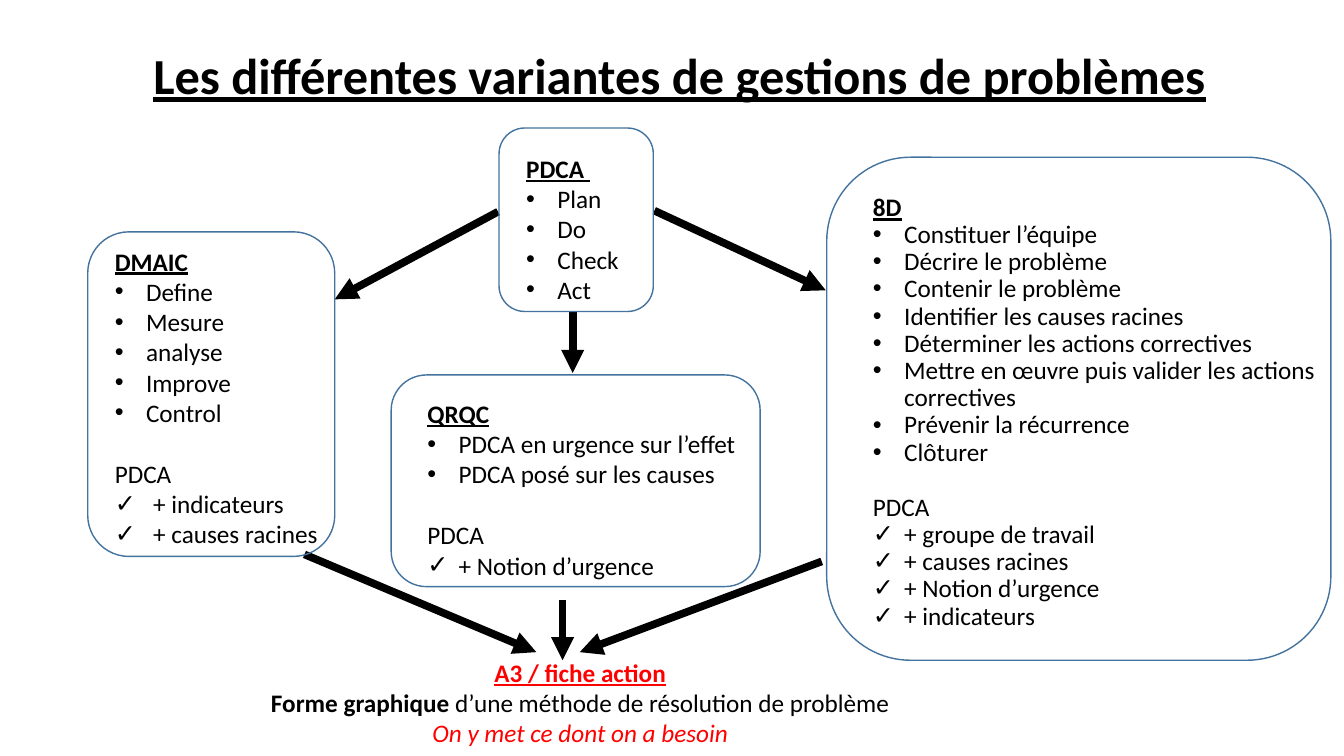
"""Build the slide on the variants of problem solving."""
import dataclasses
import lxml.etree
import pptx
import pptx.dml.color
import pptx.enum.shapes
import pptx.enum.text
import pptx.oxml.ns
import pptx.util

Inches = pptx.util.Inches
Pt = pptx.util.Pt
Align = pptx.enum.text.PP_ALIGN
qn = pptx.oxml.ns.qn


@dataclasses.dataclass
class Theme:
    font: str = "Calibri"
    black: str = "000000"
    red: str = "FF0000"
    blue: str = "43739E"
    head: int = 36
    body: int = 18
    arrow: float = 5.5
    frame: int = 1


class Board:
    def __init__(self, slide, theme):
        self.slide = slide
        self.theme = theme

    def tint(self, code):
        return pptx.dml.color.RGBColor.from_string(code)

    def style(self, run, size=None, color=None, bold=False, under=False, slant=False):
        font = run.font
        font.name = self.theme.font
        font.size = Pt(size or self.theme.body)
        font.color.rgb = self.tint(color or self.theme.black)
        font.bold, font.underline, font.italic = bold, under, slant

    def title(self, text, box):
        shape = self.slide.shapes.title
        shape.left, shape.top, shape.width, shape.height = map(Inches, box)
        frame = shape.text_frame
        frame.text = text
        frame.auto_size = pptx.enum.text.MSO_AUTO_SIZE.NONE
        frame.vertical_anchor = pptx.enum.text.MSO_ANCHOR.MIDDLE
        line = frame.paragraphs[0]
        line.alignment = Align.LEFT
        line.line_spacing = 0.9
        self.style(line.runs[0], self.theme.head, bold=True, under=True)

    def text(self, box):
        frame = self.slide.shapes.add_textbox(*map(Inches, box)).text_frame
        frame.word_wrap = True
        return frame

    def bullet(self, line, mark, indent):
        props = line._p.get_or_add_pPr()
        props.set("marL", str(Inches(indent)))
        props.set("indent", str(-Inches(indent)))
        lxml.etree.SubElement(props, qn("a:buFont")).set("typeface", "Arial")
        lxml.etree.SubElement(props, qn("a:buChar")).set("char", mark)

    def method(self, box, name, steps, extras, space=1.0, indent=0.31):
        frame = self.text(box)
        frame.text = name
        self.style(frame.paragraphs[0].runs[0], bold=True, under=True)
        rows = [(step, "•", 0.31) for step in steps]
        if extras:
            rows.append(("PDCA", None, 0))
            rows += [(extra, "✓", indent) for extra in extras]
        for words, mark, inset in rows:
            line = frame.add_paragraph()
            line.text = words
            if mark:
                self.bullet(line, mark, inset)
            else:
                line.space_before = Pt(22 * space)
            line.line_spacing = space
            self.style(line.runs[0])

    def result(self, box, lines):
        frame = self.text(box)
        for place, parts in enumerate(lines):
            line = frame.add_paragraph() if place else frame.paragraphs[0]
            line.alignment = Align.CENTER
            for words, looks in parts:
                run = line.add_run()
                run.text = words
                self.style(run, **looks)

    def arrow(self, start, end):
        kind = pptx.enum.shapes.MSO_CONNECTOR.STRAIGHT
        link = self.slide.shapes.add_connector(kind, *map(Inches, start + end))
        link.line.color.rgb = self.tint(self.theme.black)
        link.line.width = Pt(self.theme.arrow)
        tip = lxml.etree.SubElement(link.line._get_or_add_ln(), qn("a:tailEnd"))
        tip.set("type", "triangle")
        lxml.etree.SubElement(link._element.spPr, qn("a:effectLst"))

    def frame(self, box):
        kind = pptx.enum.shapes.MSO_SHAPE.ROUNDED_RECTANGLE
        shape = self.slide.shapes.add_shape(kind, *map(Inches, box))
        shape.shadow.inherit = False
        shape.fill.background()
        shape.line.color.rgb = self.tint(self.theme.blue)
        shape.line.width = Pt(self.theme.frame)


def main():
    deck = pptx.Presentation()
    deck.slide_width, deck.slide_height = Inches(13.33), Inches(7.5)
    theme = Theme()
    board = Board(deck.slides.add_slide(deck.slide_layouts[5]), theme)

    board.title("Les différentes variantes de gestions de problèmes",
                (1.42, 0.05, 11.35, 1.45))
    board.method((5.12, 1.47, 1.38, 1.62), "PDCA ",
                 ["Plan", "Do", "Check", "Act"], [])
    board.method((4.14, 3.9, 3.59, 1.92), "QRQC",
                 ["PDCA en urgence sur l’effet", "PDCA posé sur les causes"],
                 ["+ Notion d’urgence"])
    board.method((1.04, 2.39, 2.28, 3.43), "DMAIC",
                 ["Define", "Mesure", "analyse", "Improve", "Control"],
                 ["+ indicateurs", "+ causes racines"], indent=0.38)
    board.method((8.56, 1.85, 4.71, 4.77), "8D",
                 ["Constituer l’équipe", "Décrire le problème",
                  "Contenir le problème", "Identifier les causes racines",
                  "Déterminer les actions correctives",
                  "Mettre en œuvre puis valider les actions correctives",
                  "Prévenir la récurrence", "Clôturer"],
                 ["+ groupe de travail", "+ causes racines",
                  "+ Notion d’urgence", "+ indicateurs"], space=0.9)
    board.result((2.54, 6.47, 6.43, 1.01), [
        [("A3 / fiche action", dict(color=theme.red, bold=True, under=True))],
        [("Forme graphique ", dict(bold=True)),
         ("d’une méthode de résolution de problème", {})],
        [("On y met ce dont on a besoin", dict(color=theme.red, slant=True))],
    ])

    for start, end in [
        ((3.02, 5.5), (5.32, 6.47)),
        ((8.15, 5.57), (5.75, 6.47)),
        ((5.68, 3.1), (5.68, 3.7)),
        ((4.94, 2.1), (3.32, 2.97)),
        ((6.49, 2.09), (8.19, 2.88)),
        ((5.58, 5.95), (5.58, 6.55)),
    ]:
        board.arrow(start, end)

    for box in [(4.95, 1.27, 1.53, 1.82), (0.87, 2.3, 2.45, 3.22),
                (8.2, 1.56, 5, 4.99), (3.88, 3.72, 3.66, 2.1)]:
        board.frame(box)

    deck.save("out.pptx")


if __name__ == "__main__":
    main()
